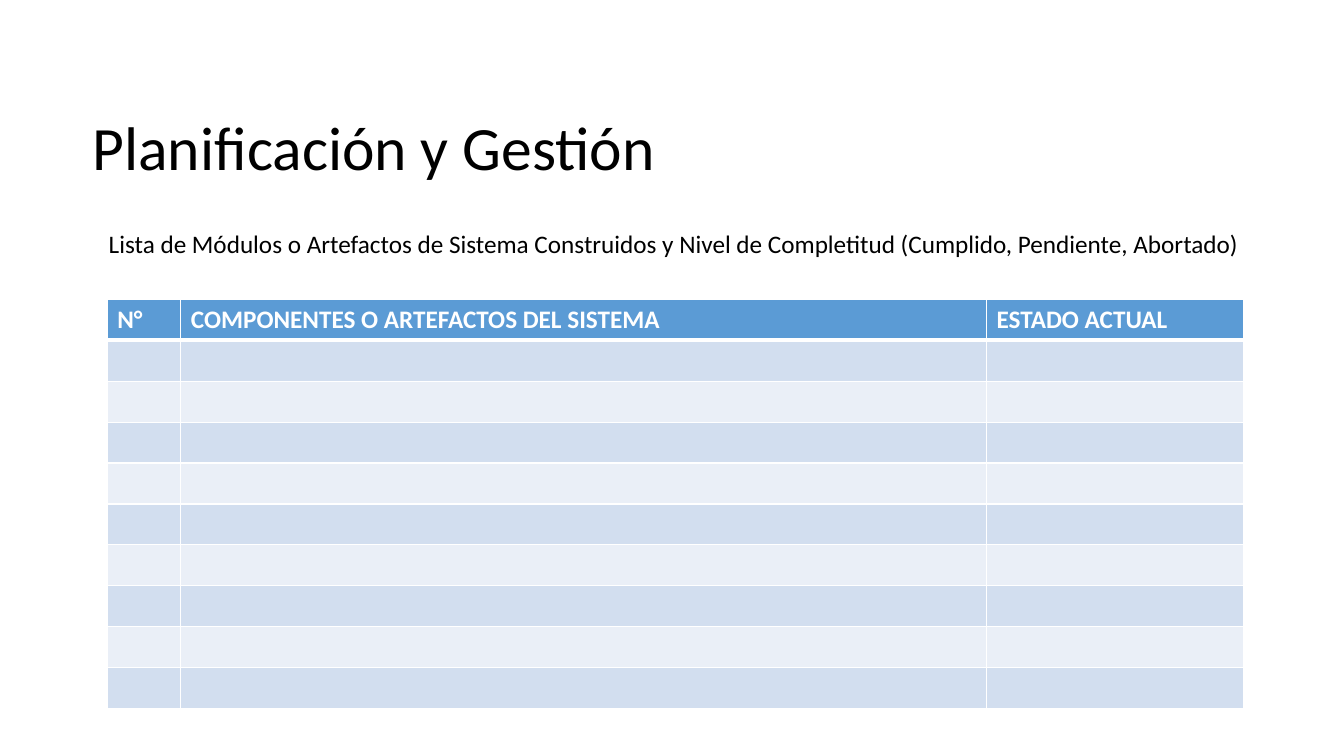
from dataclasses import dataclass

from lxml import etree
from pptx import Presentation
from pptx.dml.color import RGBColor
from pptx.enum.text import MSO_ANCHOR, MSO_AUTO_SIZE
from pptx.oxml.ns import qn
from pptx.util import Inches, Pt

MIDDLE, TOP = MSO_ANCHOR.MIDDLE, MSO_ANCHOR.TOP
FIXED, GROW = MSO_AUTO_SIZE.NONE, MSO_AUTO_SIZE.SHAPE_TO_FIT_TEXT
SLIDE_WIDTH, SLIDE_HEIGHT = Inches(13.33), Inches(7.5)


@dataclass(frozen=True)
class Theme:
    """Colours, font and type sizes of the slide."""
    font: str = "Calibri"
    ink: str = "000000"
    paper: str = "FFFFFF"
    header: str = "5B9BD5"
    bands: tuple = ("D2DEEF", "EAEFF7")
    title_size: int = 44
    body_size: int = 18
    thin_rule: int = 1
    header_rule: int = 3


@dataclass(frozen=True)
class Area:
    """A rectangle in percent of the slide's width and height."""
    left: float
    top: float
    width: float
    height: float

    def lengths(self) -> tuple:
        """Return left, top, width and height in slide units."""
        return (
            round(SLIDE_WIDTH * self.left / 100),
            round(SLIDE_HEIGHT * self.top / 100),
            round(SLIDE_WIDTH * self.width / 100),
            round(SLIDE_HEIGHT * self.height / 100),
        )


@dataclass(frozen=True)
class TextBlock:
    """A text box with its place and format values."""
    text: str
    area: Area
    size: int
    frame_format: dict
    line_spacing: float


@dataclass(frozen=True)
class Column:
    """A table column with its heading and share of the table width."""
    heading: str
    percent: float


THEME = Theme()
TEXT_BLOCKS = (
    TextBlock(
        "Planificación y Gestión", Area(6.15, 10.27, 86.27, 19.33), THEME.title_size,
        {"word_wrap": True, "vertical_anchor": MIDDLE, "auto_size": FIXED}, 0.9,
    ),
    TextBlock(
        "Lista de Módulos o Artefactos de Sistema Construidos y Nivel de Completitud "
        "(Cumplido, Pendiente, Abortado)",
        Area(7.35, 29.6, 86.57, 5.33), THEME.body_size,
        {"word_wrap": False, "vertical_anchor": TOP, "auto_size": GROW}, 1.0,
    ),
)
TABLE_AREA = Area(7.98, 39.6, 84.55, 54.13)
COLUMNS = (
    Column("N°", 6.48),
    Column("COMPONENTES O ARTEFACTOS DEL SISTEMA", 70.9),
    Column("ESTADO ACTUAL", 22.62),
)
ROW_COUNT = 10


def style_font(font, size: int, color: str, bold: bool) -> None:
    """Apply the theme font with a size, colour and weight."""
    for name, value in {"name": THEME.font, "size": Pt(size), "bold": bold}.items():
        setattr(font, name, value)
    font.color.rgb = RGBColor.from_string(color)


def draw_text(slide, block: TextBlock) -> None:
    """Draw one text block."""
    box = slide.shapes.add_textbox(*block.area.lengths())
    for name, value in block.frame_format.items():
        setattr(box.text_frame, name, value)
    para = box.text_frame.paragraphs[0]
    para.line_spacing = block.line_spacing
    span = para.add_run()
    span.text = block.text
    style_font(span.font, block.size, THEME.ink, False)


def draw_borders(cell, widths: dict) -> None:
    """Give a cell solid borders with the widths named by side."""
    properties = cell._tc.get_or_add_tcPr()
    for position, (side, width) in enumerate(widths.items()):
        line = etree.Element(qn(f"a:ln{side}"), w=str(Pt(width)))
        fill = etree.SubElement(line, qn("a:solidFill"))
        etree.SubElement(fill, qn("a:srgbClr"), val=THEME.paper)
        properties.insert(position, line)


def draw_table(slide) -> None:
    """Draw the status table with a header and banded empty rows."""
    left, top, width, height = TABLE_AREA.lengths()
    table = slide.shapes.add_table(ROW_COUNT, len(COLUMNS), left, top, width, height).table
    for table_column, column in zip(table.columns, COLUMNS):
        table_column.width = round(width * column.percent / 100)
    for row_index, row in enumerate(table.rows):
        row.height = height // ROW_COUNT
        is_header = row_index == 0
        color = THEME.header if is_header else THEME.bands[(row_index - 1) % 2]
        borders = dict.fromkeys("LRTB", THEME.thin_rule)
        if row_index < 2:
            borders["B" if is_header else "T"] = THEME.header_rule
        for cell, column in zip(row.cells, COLUMNS):
            cell.fill.solid()
            cell.fill.fore_color.rgb = RGBColor.from_string(color)
            draw_borders(cell, borders)
            para = cell.text_frame.paragraphs[0]
            if is_header:
                span = para.add_run()
                span.text = column.heading
                style_font(span.font, THEME.body_size, THEME.paper, True)


def main() -> None:
    """Build the slide and save the deck."""
    deck = Presentation()
    deck.slide_width, deck.slide_height = SLIDE_WIDTH, SLIDE_HEIGHT
    page = deck.slides.add_slide(deck.slide_layouts[6])
    for block in TEXT_BLOCKS:
        draw_text(page, block)
    draw_table(page)
    deck.save("out.pptx")


main()
